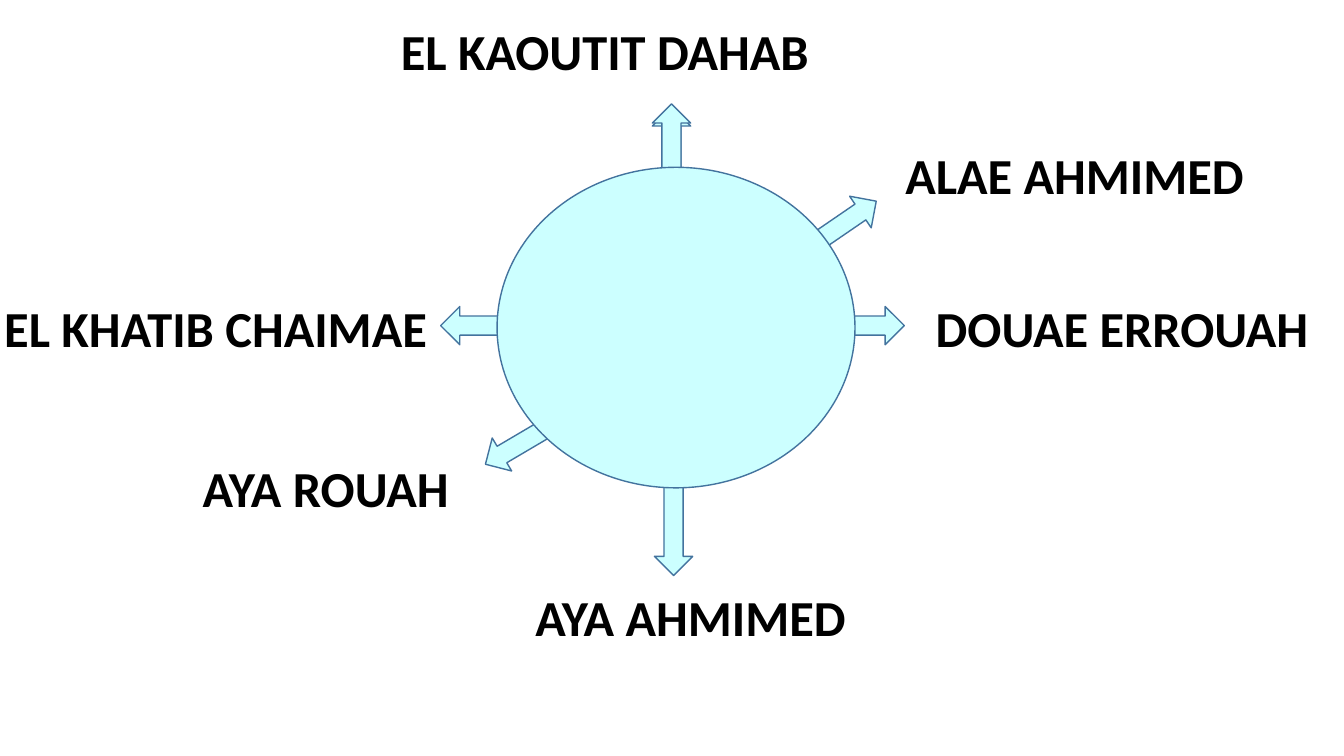
"""Build a slide of six names around a circle with outward arrows."""
from dataclasses import dataclass

from pptx import Presentation
from pptx.dml.color import RGBColor
from pptx.enum.shapes import MSO_SHAPE
from pptx.enum.text import MSO_AUTO_SIZE, PP_ALIGN
from pptx.util import Inches, Pt


@dataclass(frozen=True)
class Theme:
    """Colours and type of the slide."""
    fill: RGBColor = RGBColor(0xCC, 0xFF, 0xFF)
    outline: RGBColor = RGBColor(0x43, 0x73, 0x9E)
    text: RGBColor = RGBColor(0, 0, 0)
    font: str = "Calibri"
    name_size: Pt = Pt(36)
    line_width: Pt = Pt(1)


theme = Theme()
name_width, name_height = 5, 0.71
arrow_width, arrow_height = 1.36, 0.38

names = [
    ("EL KAOUTIT DAHAB", 3.5, 0.15),
    ("EL KHATIB CHAIMAE", -0.36, 2.9),
    ("AYA ROUAH", 0.73, 4.49),
    ("DOUAE ERROUAH", 8.63, 2.9),
    ("AYA AHMIMED", 4.35, 5.77),
    ("ALAE AHMIMED", 8.16, 1.38),
]
arrows = [
    (6, 4.84, 90),
    (5.98, 1.52, 270),
    (4.37, 3.04, 180),
    (7.61, 3.04, 0),
    (4.72, 4.07, 149.5),
    (7.45, 2.19, 325.6),
]


def add_figure(shapes, kind, left, top, width, height, rotation=0):
    """Add a filled, outlined shape."""
    shape = shapes.add_shape(kind, Inches(left), Inches(top), Inches(width), Inches(height))
    shape.rotation = rotation
    shape.shadow.inherit = False
    shape.fill.solid()
    shape.fill.fore_color.rgb = theme.fill
    shape.line.color.rgb = theme.outline
    shape.line.width = theme.line_width


presentation = Presentation()
presentation.slide_width = Inches(13.33)
presentation.slide_height = Inches(7.5)
slide = presentation.slides.add_slide(presentation.slide_layouts[6])

name_format = {"name": theme.font, "size": theme.name_size, "bold": True}
for name, left, top in names:
    name_box = slide.shapes.add_textbox(
        Inches(left), Inches(top), Inches(name_width), Inches(name_height)
    )
    name_box.text_frame.word_wrap = True
    name_box.text_frame.auto_size = MSO_AUTO_SIZE.SHAPE_TO_FIT_TEXT
    paragraph = name_box.text_frame.paragraphs[0]
    paragraph.alignment = PP_ALIGN.CENTER
    run = paragraph.add_run()
    run.text = name
    for attribute, value in name_format.items():
        setattr(run.font, attribute, value)
    run.font.color.rgb = theme.text

add_figure(slide.shapes, MSO_SHAPE.RIGHT_ARROW, 5.98, 1.55, arrow_width, arrow_height, 270)
diagram = slide.shapes.add_group_shape()
for left, top, rotation in arrows:
    add_figure(diagram.shapes, MSO_SHAPE.RIGHT_ARROW, left, top, arrow_width, arrow_height, rotation)
add_figure(diagram.shapes, MSO_SHAPE.OVAL, 4.93, 1.66, 3.55, 3.18)

presentation.save("out.pptx")
